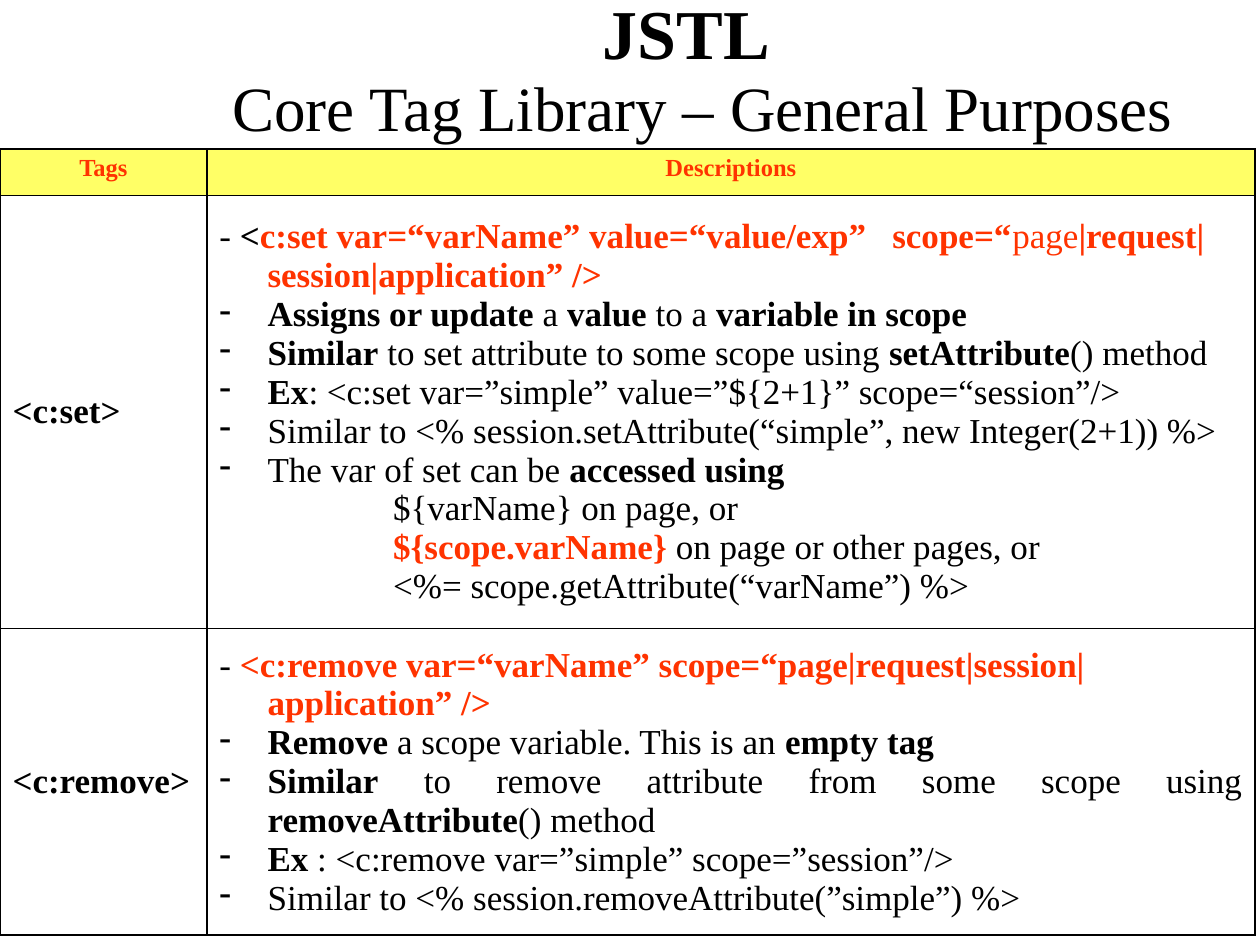
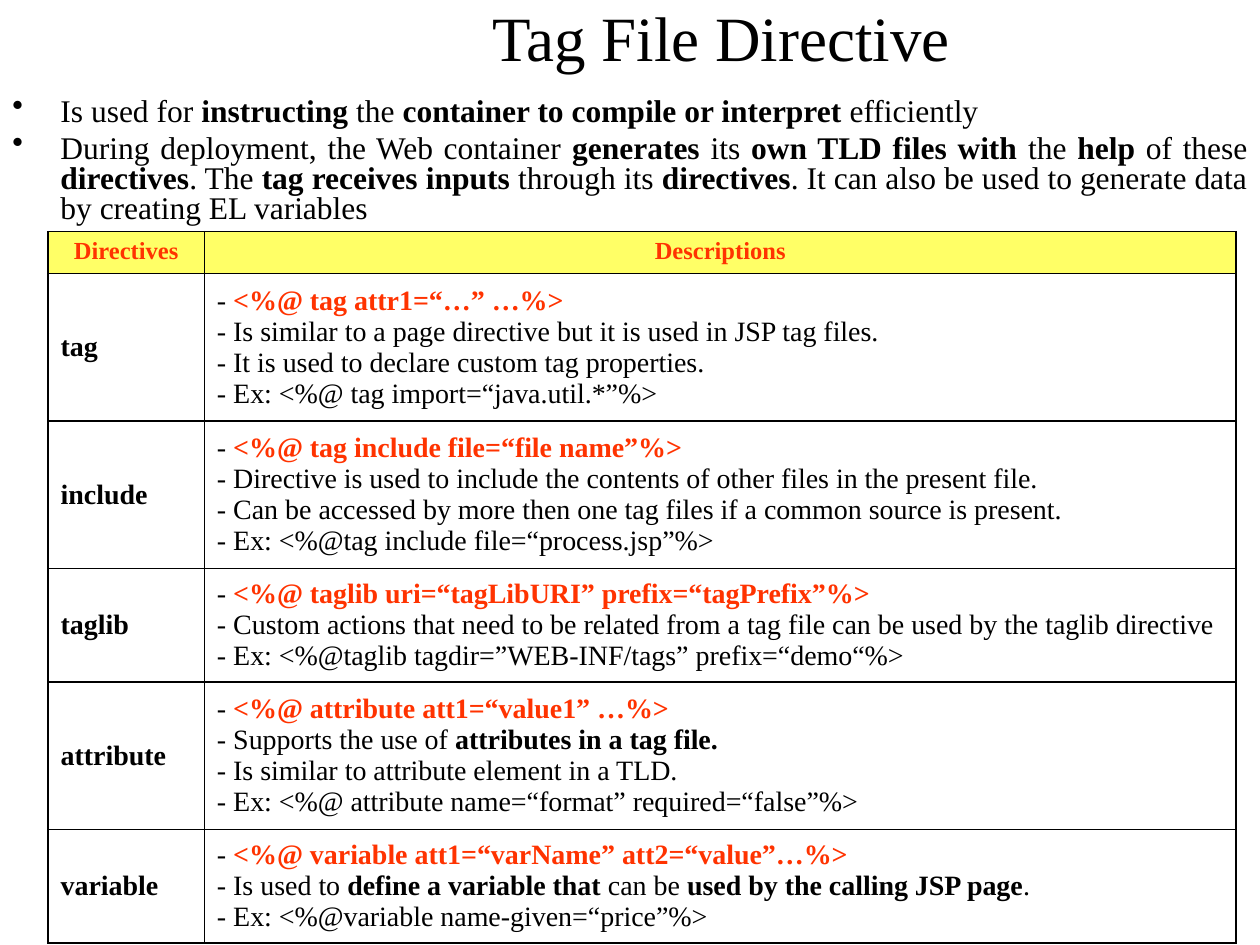
from dataclasses import dataclass

from lxml.etree import SubElement as Sub
from pptx import Presentation
from pptx.dml.color import RGBColor as Rgb
from pptx.enum.text import MSO_ANCHOR as Anchor, PP_ALIGN as Align
from pptx.oxml.ns import qn
from pptx.util import Cm, Pt


# Theme
@dataclass(frozen=True)
class Theme:
    font: str = "Times New Roman"
    ink: Rgb = Rgb(0x00, 0x00, 0x00)
    red: Rgb = Rgb(0xFF, 0x33, 0x00)
    band: Rgb = Rgb(0xFF, 0xFF, 0x66)
    rule: Pt = Pt(1)
    title: int = 36
    brand: int = 40
    gap: int = 44
    body: int = 18
    head: int = 14
    hang: Cm = Cm(0.97)
    deep: Cm = Cm(3.5)


# Line prefixes: "•" and "–" make a bullet, ">" a deep indent.
# Inside a line "^" toggles bold and "~" toggles red.
BULLETS = {"•": "•", "–": "-"}


class Deck:
    def __init__(self, theme):
        self.theme = theme
        self.prs = Presentation()
        self.prs.slide_width, self.prs.slide_height = Cm(25.4), Cm(19.05)
        self.slide = None

    def page(self):
        self.slide = self.prs.slides.add_slide(self.prs.slide_layouts[6])

    def frame(self, left, top, width, height, anchor):
        box = self.slide.shapes.add_textbox(Cm(left), Cm(top), Cm(width), Cm(height))
        box.text_frame.word_wrap = True
        box.text_frame.vertical_anchor = anchor
        return box.text_frame

    def style(self, par, size, color=None):
        font = par.font
        font.name, font.size = self.theme.font, Pt(size)
        font.color.rgb = color or self.theme.ink

    def title(self, left, width, height, lines, spacing):
        """Each line is a list of (text, size, bold) runs."""
        par = self.frame(left, 0, width, height, Anchor.MIDDLE).paragraphs[0]
        par.alignment, par.line_spacing = Align.CENTER, spacing
        self.style(par, self.theme.title)
        for i, line in enumerate(lines):
            if i:
                par.add_line_break()
            for text, size, bold in line:
                run = par.add_run()
                run.text = text
                run.font.size, run.font.bold = Pt(size), bold

    def runs(self, par, line):
        bold = red = False
        text = ""
        for char in line + "\0":
            if char not in "^~\0":
                text += char
                continue
            if text:
                run = par.add_run()
                run.text, run.font.bold = text, bold
                if red:
                    run.font.color.rgb = self.theme.red
                text = ""
            bold ^= char == "^"
            red ^= char == "~"

    def text(self, frame, lines, size, spacing=None, before=0):
        for i, line in enumerate(lines):
            par = frame.add_paragraph() if i else frame.paragraphs[0]
            prop = par._p.get_or_add_pPr()
            deep = line[0] == ">"
            prop.set("marL", str(self.theme.deep if deep else self.theme.hang))
            prop.set("indent", str(0 if deep else -self.theme.hang))
            if spacing:
                par.line_spacing = spacing
            if i and before:
                par.space_before = Pt(before)
            if line[0] in BULLETS:
                par.alignment = Align.JUSTIFY
                Sub(prop, qn("a:buChar")).set("char", BULLETS[line[0]])
            self.style(par, size)
            self.runs(par, line[1:] if deep or line[0] in BULLETS else line)

    def body(self, left, top, width, height, lines):
        frame = self.frame(left, top, width, height, Anchor.TOP)
        self.text(frame, lines, self.theme.body, 0.8, 4)

    def edge(self, cell):
        prop = cell._tc.get_or_add_tcPr()
        for side in ("a:lnL", "a:lnR", "a:lnT", "a:lnB"):
            line = Sub(prop, qn(side), w=str(self.theme.rule))
            fill = Sub(line, qn("a:solidFill"))
            Sub(fill, qn("a:srgbClr"), val=str(self.theme.ink))

    def table(self, left, top, cols, rows, head, items, size):
        """Items pair a name with the lines that describe it."""
        grid = self.slide.shapes.add_table(
            len(rows), len(cols), Cm(left), Cm(top), Cm(sum(cols)), Cm(sum(rows))
        ).table
        grid.first_row = grid.horz_banding = False
        for col, width in zip(grid.columns, cols):
            col.width = Cm(width)
        for row, height in zip(grid.rows, rows):
            row.height = Cm(height)
        for cell in grid.iter_cells():
            self.edge(cell)
            cell.fill.background()
        # Header band
        for i, name in enumerate(head):
            cell = grid.cell(0, i)
            cell.fill.solid()
            cell.fill.fore_color.rgb = self.theme.band
            par = cell.text_frame.paragraphs[0]
            par.text, par.alignment = name, Align.CENTER
            self.style(par, self.theme.head, self.theme.red)
            par.font.bold = par.runs[0].font.bold = True
        # Names and their lines
        for i, (name, lines) in enumerate(items, 1):
            for j, part in enumerate(([f"^{name}"], lines)):
                cell = grid.cell(i, j)
                cell.vertical_anchor = Anchor.MIDDLE
                self.text(cell.text_frame, part, size)


CORE = [
    ("<c:set>", [
        "- ^<~c:set var=“varName” value=“value/exp”   scope=“^page^|request|session|application” />",
        "–^Assigns or update^ a ^value^ to a ^variable in scope",
        "–^Similar^ to set attribute to some scope using ^setAttribute^() method",
        "–^Ex^: <c:set var=”simple” value=”${2+1}” scope=“session”/>",
        "–Similar to <% session.setAttribute(“simple”, new Integer(2+1)) %>",
        "–The var of set can be ^accessed using",
        ">${varName} on page, or",
        ">~^${scope.varName}~^ on page or other pages, or",
        "><%= scope.getAttribute(“varName”) %>",
    ]),
    ("<c:remove>", [
        "- ~^<c:remove var=“varName” scope=“page|request|session|application” />",
        "–^Remove^ a scope variable. This is an ^empty tag",
        "–^Similar^ to remove attribute from some scope using ^removeAttribute^() method",
        "–^Ex^ : <c:remove var=”simple” scope=”session”/>",
        "–Similar to <% session.removeAttribute(”simple”) %>",
    ]),
]

NOTES = [
    "•Is used for ^instructing^ the ^container to compile or interpret^ efficiently",
    "•During deployment, the Web container ^generates^ its ^own TLD files with^ the ^help^"
    " of these ^directives^. The ^tag receives inputs^ through its ^directives^."
    " It can also be used to generate data by creating EL variables",
]

FILES = [
    ("tag", [
        "- ~^<%@ tag attr1=“…” …%>",
        "- Is similar to a page directive but it is used in JSP tag files.",
        "- It is used to declare custom tag properties.",
        "- Ex: <%@ tag import=“java.util.*”%>",
    ]),
    ("include", [
        "- ~^<%@ tag include file=“file name”%>",
        "- Directive is used to include the contents of other files in the present file.",
        "- Can be accessed by more then one tag files if a common source is present.",
        "- Ex: <%@tag include file=“process.jsp”%>",
    ]),
    ("taglib", [
        "- ~^<%@ taglib uri=“tagLibURI” prefix=“tagPrefix”%>",
        "- Custom actions that need to be related from a tag file can be used by the taglib directive",
        "- Ex: <%@taglib tagdir=”WEB-INF/tags” prefix=“demo“%>",
    ]),
    ("attribute", [
        "- ~^<%@ attribute att1=“value1” …%>",
        "- Supports the use of ^attributes in a tag file.",
        "- Is similar to attribute element in a TLD.",
        "- Ex: <%@ attribute name=“format” required=“false”%>",
    ]),
    ("variable", [
        "- ~^<%@ variable att1=“varName” att2=“value”…%>",
        "- Is used to ^define a variable that^ can be ^used by the calling JSP page^.",
        "- Ex: <%@variable name-given=“price”%>",
    ]),
]


def main():
    theme = Theme()
    deck = Deck(theme)

    # Slide 1: core tags
    deck.page()
    deck.title(2.54, 22.86, 3.07, [
        [("JSTL ", theme.brand, True)],
        [(" ", theme.gap, True),
         ("Core Tag Library – General Purposes", theme.title, False)],
    ], 0.8)
    deck.table(0, 3, [4.17, 21.13], [0.94, 8.71, 6.17],
               ["Tags", "Descriptions"], CORE, 20)

    # Slide 2: tag file directives, row height follows the line count
    deck.page()
    deck.title(3.68, 21.72, 1.85, [[("Tag File Directive", theme.title, False)]], 0.7)
    deck.body(0, 1.85, 25.4, 3.1, NOTES)
    rows = [0.84] + [0.25 + 0.68 * len(lines) for _, lines in FILES]
    deck.table(0.97, 4.67, [3.15, 20.8], rows,
               ["Directives", "Descriptions"], FILES, 16)

    deck.prs.save("out.pptx")


if __name__ == "__main__":
    main()
